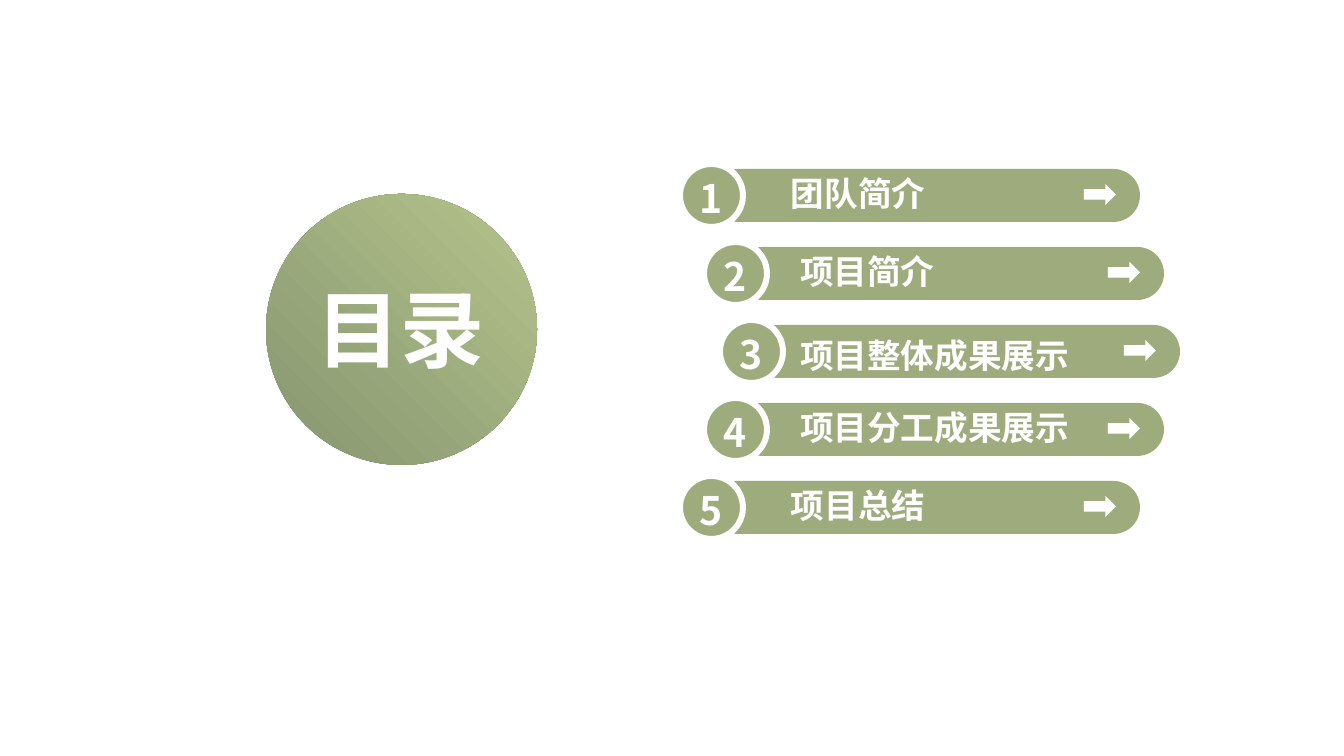
from dataclasses import dataclass
from typing import NamedTuple

from lxml.etree import SubElement
from pptx import Presentation
from pptx.dml.color import RGBColor
from pptx.enum.shapes import MSO_SHAPE
from pptx.enum.text import MSO_ANCHOR, PP_ALIGN
from pptx.oxml.ns import qn
from pptx.shapes.autoshape import Shape
from pptx.slide import Slide
from pptx.util import Emu, Pt

PX = 9565  # EMU per px


@dataclass(frozen=True)
class Theme:
    font: str = "Noto Sans CJK SC"
    white: RGBColor = RGBColor(0xFF, 0xFF, 0xFF)
    green: RGBColor = RGBColor(0x9E, 0xAC, 0x7D)
    disc_dark: RGBColor = RGBColor(0x7D, 0x8C, 0x6A)
    disc_light: RGBColor = RGBColor(0xBE, 0xCD, 0x91)
    title_size: float = 63.3
    number_size: float = 29.5
    label_size: float = 25.3
    ring_width: float = 4.5


class Box(NamedTuple):
    left: int
    top: int
    width: int
    height: int

    def emu(self) -> tuple[Emu, ...]:
        return tuple(Emu(length * PX) for length in self)


class Chapter(NamedTuple):
    title: str
    left: int
    title_left: int
    title_drop: int = 0


THEME = Theme()
FIRST_TOP, ROW_PITCH = 164, 78
BADGE_SIZE = 63
CHAPTERS = [
    Chapter("团队简介", 680, 791),
    Chapter("项目简介", 704, 800),
    Chapter("项目整体成果展示", 720, 800, title_drop=6),
    Chapter("项目分工成果展示", 704, 800),
    Chapter("项目总结", 680, 791),
]


def add_solid(slide: Slide, kind: MSO_SHAPE, box: Box, color: RGBColor) -> Shape:
    shape = slide.shapes.add_shape(kind, *box.emu())
    shape.shadow.inherit = False
    shape.fill.solid()
    shape.fill.fore_color.rgb = color
    shape.line.fill.background()
    return shape


def add_words(slide: Slide, words: str, box: Box, size: float,
              align: PP_ALIGN = PP_ALIGN.CENTER) -> None:
    frame = slide.shapes.add_textbox(*box.emu()).text_frame
    frame.word_wrap = True
    frame.vertical_anchor = MSO_ANCHOR.MIDDLE
    frame.margin_left = frame.margin_right = 0
    frame.margin_top = frame.margin_bottom = 0
    paragraph = frame.paragraphs[0]
    paragraph.text = words
    paragraph.alignment = align
    font = paragraph.font
    font.size, font.bold = Pt(size), True
    font.color.rgb = THEME.white
    font.name = THEME.font
    # Chinese characters take the East Asian typeface
    defaults = paragraph._p.pPr.find(qn("a:defRPr"))
    SubElement(defaults, qn("a:ea"), typeface=THEME.font)


def add_title_disc(slide: Slide) -> None:
    disc = add_solid(slide, MSO_SHAPE.OVAL, Box(266, 194, 271, 271), THEME.green)
    disc.rotation = 45
    disc.fill.gradient()
    disc.fill.gradient_angle = 90
    dark, light = disc.fill.gradient_stops
    dark.color.rgb, light.color.rgb = THEME.disc_dark, THEME.disc_light
    add_words(slide, "目录", Box(250, 249, 301, 157), THEME.title_size)


def add_chapter(slide: Slide, number: int, chapter: Chapter) -> None:
    left = chapter.left
    top = FIRST_TOP + (number - 1) * ROW_PITCH

    # Bar
    bar = add_solid(slide, MSO_SHAPE.ROUNDED_RECTANGLE,
                    Box(left + 32, top + 5, 428, 53), THEME.green)
    bar.adjustments[0] = 0.5

    # Ringed number
    badge_box = Box(left, top, BADGE_SIZE, BADGE_SIZE)
    badge = add_solid(slide, MSO_SHAPE.OVAL, badge_box, THEME.green)
    badge.line.color.rgb = THEME.white
    badge.line.width = Pt(THEME.ring_width)
    add_words(slide, str(number), badge_box._replace(top=top + 2), THEME.number_size)

    # Title and arrow
    add_words(slide, chapter.title,
              Box(chapter.title_left, top + 3 + chapter.title_drop, 280, 53),
              THEME.label_size, PP_ALIGN.LEFT)
    add_solid(slide, MSO_SHAPE.RIGHT_ARROW, Box(left + 404, top + 20, 32, 21), THEME.white)


def main() -> None:
    deck = Presentation()
    deck.slide_width, deck.slide_height = Emu(1344 * PX), Emu(756 * PX)
    slide = deck.slides.add_slide(deck.slide_layouts[6])
    add_title_disc(slide)
    for number, chapter in enumerate(CHAPTERS, start=1):
        add_chapter(slide, number, chapter)
    deck.save("out.pptx")


if __name__ == "__main__":
    main()
